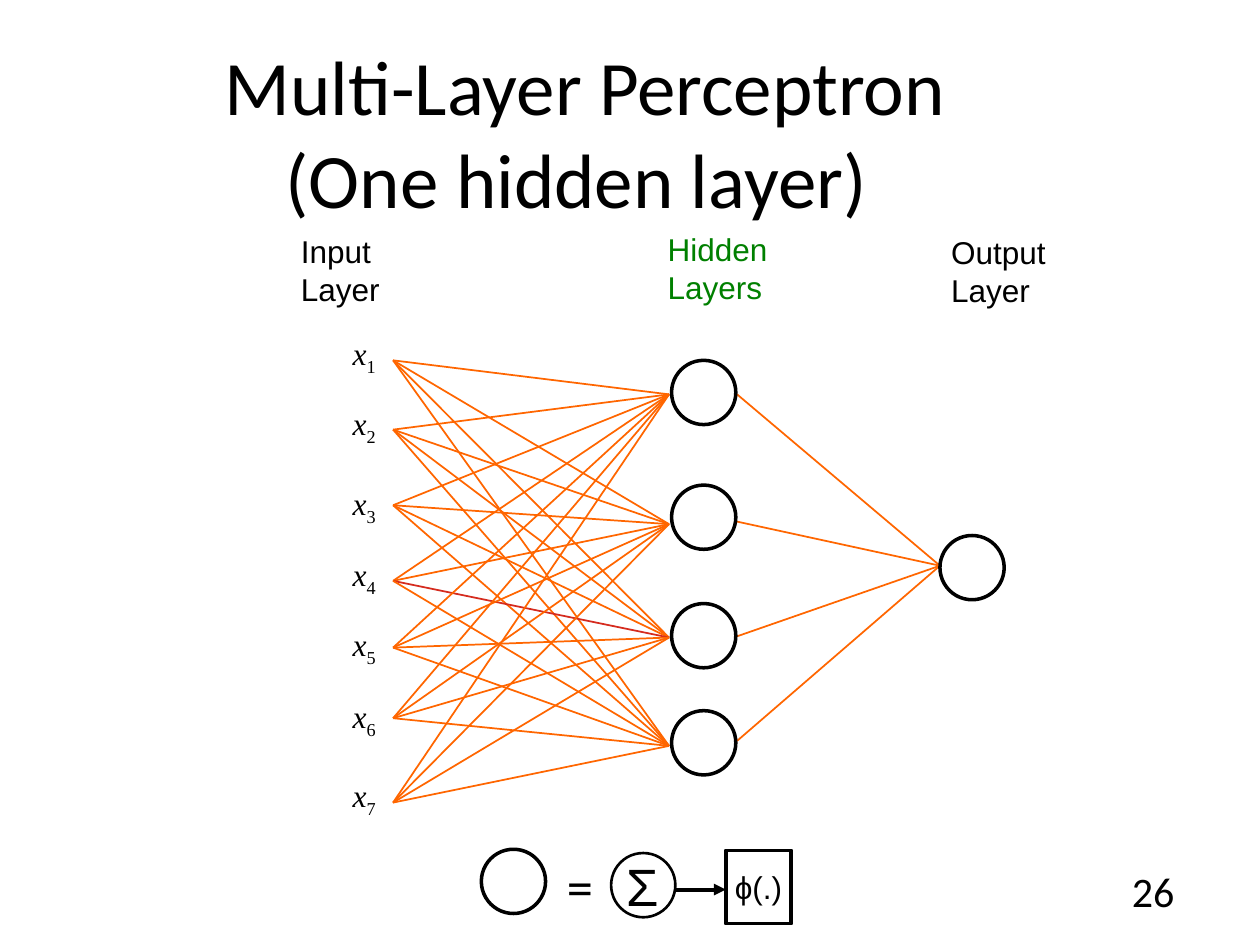
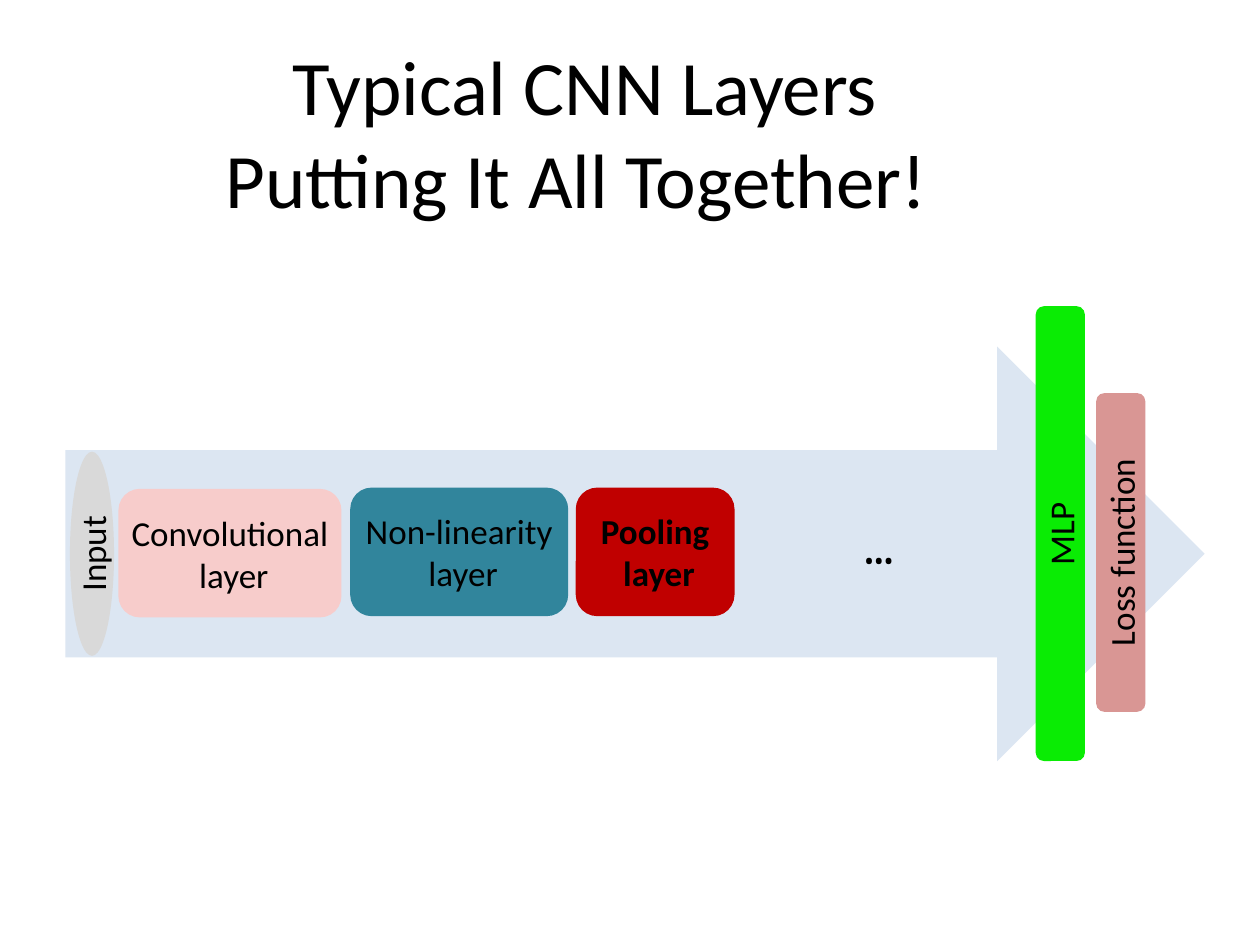
"""Build two slides on a multi-layer perceptron and the layers of a CNN."""
import dataclasses
import itertools

import lxml.etree
import pptx
import pptx.dml.color
import pptx.enum.shapes
import pptx.enum.text
import pptx.oxml.ns
import pptx.util

ALIGN = pptx.enum.text.PP_ALIGN
ANCHOR = pptx.enum.text.MSO_ANCHOR
SHAPE = pptx.enum.shapes.MSO_SHAPE
PIXEL = 9144


@dataclasses.dataclass(frozen=True)
class Theme:
    black: str = "000000"
    link: str = "FF6600"
    marked_link: str = "D52B1E"
    hidden: str = "008000"
    flow: str = "DCE6F2"
    convolution: str = "F7CCCB"
    nonlinearity: str = "31859C"
    pooling: str = "C00000"
    loss: str = "D99694"
    perceptron: str = "0AEC04"
    source: str = "D9D9D9"
    body: str = "Calibri"
    label: str = "Arial"
    math: str = "Times New Roman"
    dots: str = "Cambria"
    title_size: int = 44
    symbol_size: int = 30
    number_size: int = 24
    layer_size: int = 20
    label_size: int = 18


class Builder:
    def __init__(self, theme):
        self.theme = theme
        self.presentation = pptx.Presentation()
        self.presentation.slide_width = self.px(1000)
        self.presentation.slide_height = self.px(750)

    def px(self, value):
        return pptx.util.Emu(value * PIXEL)

    def rgb(self, color):
        return pptx.dml.color.RGBColor.from_string(color)

    def new_slide(self, title):
        layout = self.presentation.slide_layouts[6]
        self.slide = self.presentation.slides.add_slide(layout)
        self.shapes = self.slide.shapes
        self.text(title, (-4, 26, 937, 125), self.theme.title_size, align=ALIGN.CENTER)

    def start_group(self):
        self.shapes = self.slide.shapes.add_group_shape().shapes

    def end_group(self):
        self.shapes = self.slide.shapes

    def style_font(self, font, size, name, color=None, **extra):
        values = {"name": name, "size": pptx.util.Pt(size), **extra}
        for attribute, value in values.items():
            setattr(font, attribute, value)
        font.color.rgb = self.rgb(color or self.theme.black)

    def fill_text(self, frame, text, size, name=None, align=None, **font):
        for index, line in enumerate(text.split("\n")):
            paragraph = frame.add_paragraph() if index else frame.paragraphs[0]
            paragraph.alignment = align
            run = paragraph.add_run()
            run.text = line
            self.style_font(run.font, size, name or self.theme.body, **font)

    def text(self, text, box, size, name=None, wrap=True, **options):
        frame = self.shapes.add_textbox(*map(self.px, box)).text_frame
        frame.word_wrap = wrap
        self.fill_text(frame, text, size, name, **options)
        return frame

    def variable(self, letter, subscript, box):
        size, name = self.theme.label_size, self.theme.math
        frame = self.text(letter, box, size, name, italic=True)
        run = frame.paragraphs[0].add_run()
        run.text = subscript
        self.style_font(run.font, size, name)
        run._r.get_or_add_rPr().set("baseline", "-25000")

    def shape(self, kind, box, fill=None, line_width=0):
        shape = self.shapes.add_shape(kind, *map(self.px, box))
        shape.shadow.inherit = False
        if fill:
            shape.fill.solid()
            shape.fill.fore_color.rgb = self.rgb(fill)
        else:
            shape.fill.background()
        if line_width:
            shape.line.color.rgb = self.rgb(self.theme.black)
            shape.line.width = pptx.util.Pt(line_width)
        else:
            shape.line.fill.background()
        return shape

    def neuron(self, left, top, line_width=2.0):
        return self.shape(SHAPE.OVAL, (left, top, 51, 51), line_width=line_width)

    def symbol(self, shape, text, size):
        frame = shape.text_frame
        frame.word_wrap = False
        frame.vertical_anchor = ANCHOR.MIDDLE
        self.fill_text(frame, text, size, self.theme.label, ALIGN.CENTER)

    def layer(self, text, box, fill, kind=SHAPE.ROUNDED_RECTANGLE, upward=False, **font):
        shape = self.shape(kind, box, fill)
        frame = shape.text_frame
        values = {"word_wrap": True, "vertical_anchor": ANCHOR.MIDDLE}
        values.update({f"margin_{side}": 0 for side in ("left", "top", "right", "bottom")})
        for attribute, value in values.items():
            setattr(frame, attribute, value)
        if upward:
            frame._txBody.bodyPr.set("vert", "vert270")
        self.fill_text(frame, text, self.theme.layer_size, align=ALIGN.CENTER, **font)
        return shape

    def line(self, start, end, color, width=1.0, arrow=False):
        connector = self.shapes.add_connector(
            pptx.enum.shapes.MSO_CONNECTOR.STRAIGHT, *map(self.px, (*start, *end)))
        connector.line.color.rgb = self.rgb(color)
        connector.line.width = pptx.util.Pt(width)
        qualified = pptx.oxml.ns.qn
        if arrow:
            outline = connector.line._get_or_add_ln()
            lxml.etree.SubElement(outline, qualified("a:tailEnd"), type="triangle")
        lxml.etree.SubElement(connector._element.spPr, qualified("a:effectLst"))


def build_perceptron(builder):
    theme = builder.theme
    builder.new_slide("Multi-Layer Perceptron\n(One hidden layer) ")
    for text, box, color in (
        ("Input\nLayer", (229, 179, 86, 70), theme.black),
        ("Hidden\nLayers", (520, 178, 105, 70), theme.hidden),
        ("Output\nLayer", (745, 180, 102, 70), theme.black),
    ):
        builder.text(text, box, theme.label_size, theme.label, wrap=False, color=color)

    input_ends = (286, 341, 401, 461, 514, 570, 637)
    hidden_ends = (313, 416, 506, 592)
    for (row, start), (column, end) in itertools.product(
            enumerate(input_ends), enumerate(hidden_ends)):
        color = theme.marked_link if (row, column) == (3, 2) else theme.link
        builder.line((312, start), (531, end), color)
    for start in (313, 414, 505, 588):
        builder.line((585, start), (746, 449), theme.link)

    for number, top in enumerate((260, 316, 379, 436, 491, 548, 611), 1):
        builder.variable("x", str(number), (270, top, 65, 40))
    for top in (286, 385, 479, 564):
        builder.neuron(533, top)
    builder.neuron(746, 425)

    builder.start_group()
    builder.neuron(382, 674)
    builder.text("=", (440, 673, 32, 61), theme.symbol_size)
    builder.symbol(builder.neuron(485, 677, 1.5), "Σ", theme.symbol_size)
    activation = builder.shape(SHAPE.RECTANGLE, (576, 675, 52, 58), line_width=2.25)
    builder.symbol(activation, "ϕ(.)", theme.label_size)
    builder.line((536, 706), (576, 706), theme.black, 2.25, arrow=True)
    builder.end_group()
    builder.text("26", (642, 682, 300, 40), theme.number_size, align=ALIGN.RIGHT)


def build_layers(builder):
    theme = builder.theme
    builder.new_slide("Typical CNN Layers\nPutting It All Together! ")
    builder.shape(SHAPE.RIGHT_ARROW, (52, 275, 904, 329), theme.flow)
    builder.layer("Convolutional\n layer", (94, 388, 177, 102), theme.convolution)
    builder.layer("Non-linearity\n layer", (278, 387, 173, 102), theme.nonlinearity)
    builder.layer("Pooling\n layer", (457, 387, 126, 102), theme.pooling, bold=True)
    builder.text("…", (658, 410, 79, 51), theme.number_size, theme.dots,
                 align=ALIGN.CENTER, bold=True)
    builder.layer("Loss function", (870, 312, 39, 253), theme.loss, upward=True)
    builder.layer("MLP", (822, 243, 39, 361), theme.perceptron, upward=True)
    source = builder.layer("Input", (-8, 422, 162, 35), theme.source, SHAPE.OVAL)
    source.rotation = 270


def main():
    builder = Builder(Theme())
    build_perceptron(builder)
    build_layers(builder)
    builder.presentation.save("out.pptx")


if __name__ == "__main__":
    main()
